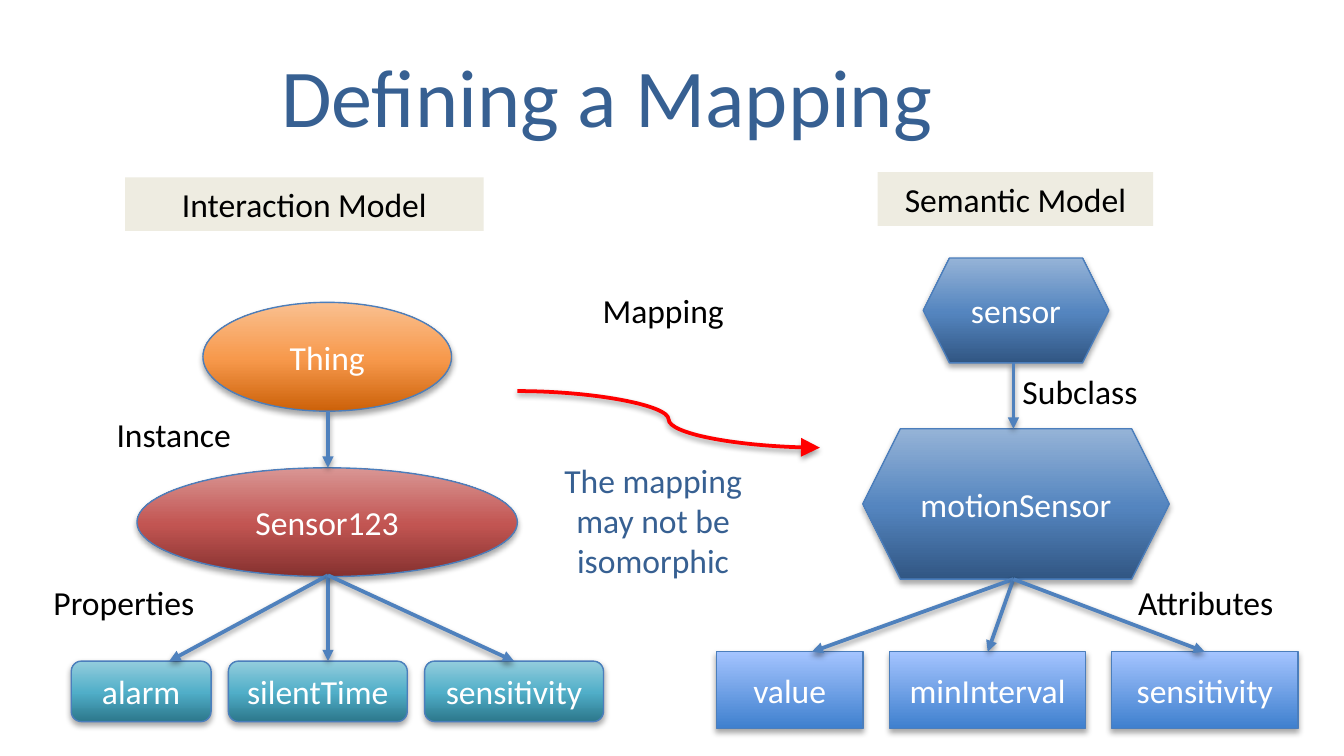
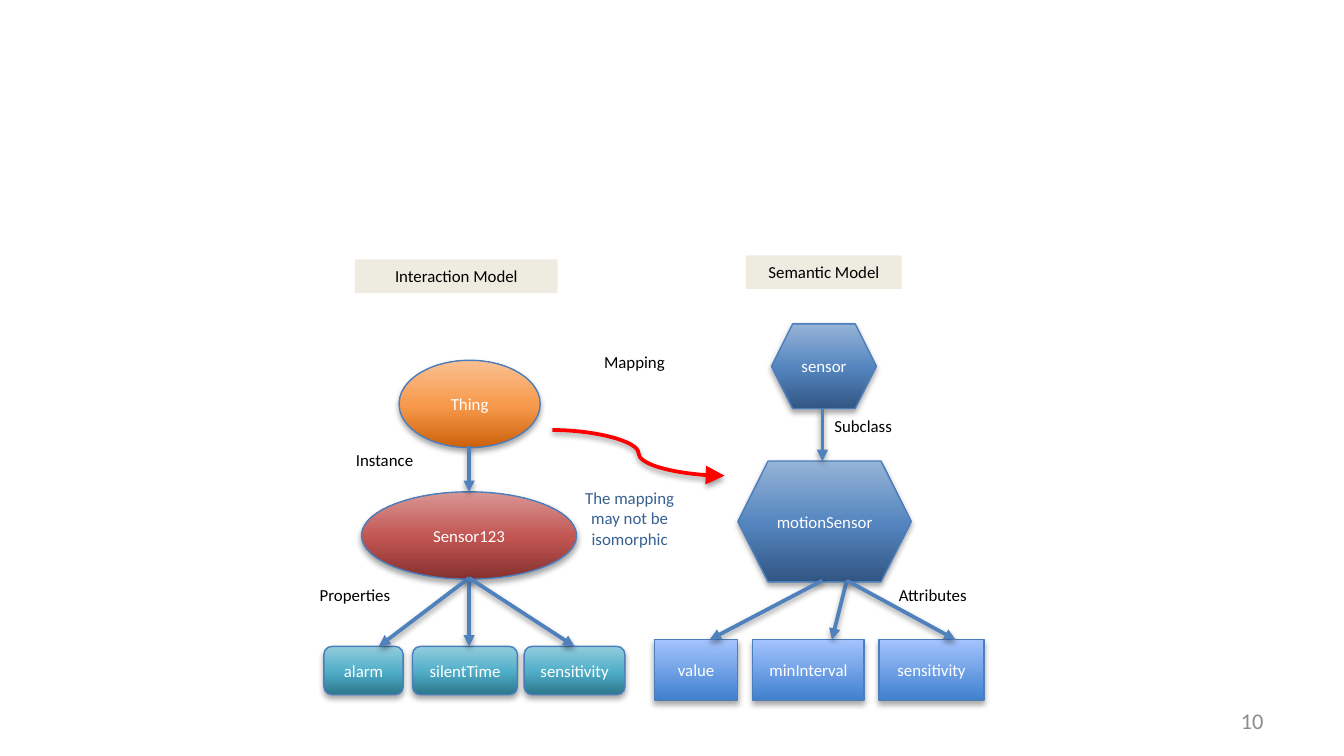
from dataclasses import dataclass
from typing import NamedTuple, Optional

import lxml.etree
import pptx
import pptx.dml.color
import pptx.enum.shapes
import pptx.enum.text
import pptx.oxml.ns
import pptx.util

Pt = pptx.util.Pt
qn = pptx.oxml.ns.qn
PRESET = pptx.enum.shapes.MSO_SHAPE
CONNECTOR = pptx.enum.shapes.MSO_CONNECTOR
ALIGN = pptx.enum.text.PP_ALIGN
ANCHOR = pptx.enum.text.MSO_ANCHOR


@dataclass(frozen=True)
class Theme:
    font: str = "Calibri"
    title_size: float = 44
    number_size: float = 12
    diagram_sizes: tuple[float, float] = (18, 9)
    accent: str = "376092"
    ink: str = "000000"
    on_node: str = "FFFFFF"
    number: str = "8C8C8C"
    band: str = "EEECE1"
    outline: str = "4B7EBC"
    arrow: str = "4F81BD"
    mapping: str = "FF0000"
    outline_width: float = 0.75
    arrow_width: float = 2


THEME = Theme()


class Frame(NamedTuple):
    left: float
    top: float
    width: float
    height: float


class Look(NamedTuple):
    """Preset shape and its gradient, from bottom to top."""
    preset: PRESET
    stops: tuple[tuple[int, str], ...]


class Part(NamedTuple):
    """A text with its frame on the full and on the reduced diagram."""
    text: str
    frames: tuple[Frame, Frame]
    look: Optional[Look] = None
    wrapped: bool = False
    color: str = THEME.ink


class Row(NamedTuple):
    top: float
    height: float
    spans: tuple[tuple[float, float], ...]


class Arrow(NamedTuple):
    """Start x, start y, end x, end y on the full and on the reduced diagram."""
    full: tuple[float, float, float, float]
    reduced: tuple[float, float, float, float]


THING = Look(PRESET.OVAL, ((0, "CC6109"), (48, "F7994C"), (100, "FAC090")))
INSTANCE = Look(PRESET.OVAL, ((0, "85312F"), (48, "C25552"), (100, "D99694")))
PROPERTY = Look(PRESET.ROUNDED_RECTANGLE,
                ((0, "2C778B"), (48, "50AEC8"), (100, "93CDDD")))
CONCEPT = Look(PRESET.HEXAGON, ((0, "315683"), (48, "5485BF"), (100, "95B3D7")))
ATTRIBUTE = Look(PRESET.RECTANGLE, ((0, "3F80CE"), (100, "A4C4FF")))


def row_parts(look: Look, texts: tuple[str, ...], full: Row, reduced: Row) -> list[Part]:
    def frames(row: Row) -> list[Frame]:
        return [Frame(left, row.top, width, row.height) for left, width in row.spans]

    return [Part(text, pair, look)
            for text, pair in zip(texts, zip(frames(full), frames(reduced)))]


NODES = [
    Part("motionSensor", (Frame(462.2, 229.7, 164.2, 80.6),
                          Frame(395.3, 247, 92.9, 64.8)), CONCEPT),
    Part("sensor", (Frame(494.6, 138.2, 99.4, 56.2),
                    Frame(413.3, 173.5, 56.2, 45.4)), CONCEPT),
    Part("Sensor123", (Frame(73.4, 250.6, 203.8, 58.3),
                       Frame(193.7, 263.5, 115.2, 46.8)), INSTANCE),
    Part("Thing", (Frame(108.7, 162, 133.2, 58.3),
                   Frame(213.8, 193, 75.6, 46.8)), THING),
    *row_parts(ATTRIBUTE, ("value", "minInterval", "sensitivity"),
               Row(349.2, 41, ((383.8, 78.5), (476.6, 105.1), (595.4, 100.1))),
               Row(342.7, 32.4, ((350.6, 44.6), (403.2, 59.8), (470.9, 56.2)))),
    *row_parts(PROPERTY, ("alarm", "silentTime", "sensitivity"),
               Row(354.2, 32.4, ((38.2, 74.9), (122.4, 95.8), (227.5, 95.8))),
               Row(346.3, 25.9, ((173.5, 42.5), (221, 56.2), (280.8, 54)))),
]

BANDS = [
    Part("Interaction Model", (Frame(67, 95, 192.2, 28.8),
                               Frame(190.1, 139, 108.7, 18))),
    Part("Semantic Model", (Frame(470.2, 92.2, 147.6, 28.8),
                            Frame(399.6, 136.8, 83.5, 18))),
]

LABELS = [
    Part("Subclass", (Frame(540.7, 195.1, 77, 28.8), Frame(439.9, 218.9, 45.4, 18))),
    Part("Attributes", (Frame(602.6, 308.2, 87.8, 28.8), Frame(474.5, 309.6, 51.8, 18))),
    Part("Properties", (Frame(21.6, 308.2, 90.7, 28.8), Frame(164.2, 309.6, 52.6, 18))),
    Part("Instance", (Frame(55.4, 218.2, 76.3, 28.8), Frame(183.6, 237.6, 45.4, 18))),
    Part("Mapping", (Frame(306.7, 151.9, 97.2, 28.8), Frame(312.5, 185, 54.7, 18)),
         wrapped=True),
    Part("The mapping may not be isomorphic",
         (Frame(281.5, 242.6, 136.8, 72.7), Frame(298.8, 257.8, 77, 40.3)),
         wrapped=True, color=THEME.accent),
]

ARROWS = [
    Arrow((542.9, 194.4, 542.9, 229.7), (440.6, 218.9, 440.6, 247)),
    Arrow((542.9, 310.3, 434.9, 349.2), (440.6, 311, 380.2, 342.7)),
    Arrow((542.9, 310.3, 529.2, 349.2), (453.6, 311, 445.7, 342.7)),
    Arrow((542.9, 310.3, 645.1, 349.2), (453.6, 311, 511.9, 342.7)),
    Arrow((175.7, 308.2, 90.7, 354.2), (251.3, 309.6, 203, 346.3)),
    Arrow((175.7, 308.2, 175.7, 354.2), (251.3, 309.6, 251.3, 346.3)),
    Arrow((175.7, 308.2, 275.8, 354.2), (251.3, 309.6, 308.2, 346.3)),
    Arrow((175.7, 220.3, 175.7, 250.6), (251.3, 239, 251.3, 263.5)),
]
MAPPING_ARROW = Arrow((277.2, 209.5, 439.2, 239.8), (295.9, 230.4, 388.1, 254.9))

TITLE_FRAME = Frame(36, 16.6, 578.2, 67.7)
NUMBER_FRAME = Frame(516.2, 375.1, 167.8, 21.6)


def rgb(value: str) -> pptx.dml.color.RGBColor:
    return pptx.dml.color.RGBColor.from_string(value)


def points(values: tuple[float, ...]) -> list[pptx.util.Length]:
    return [Pt(value) for value in values]


def write(shape, text: str, size: float, color: str, align=ALIGN.CENTER,
          anchor=ANCHOR.TOP, wrap: bool = True) -> None:
    frame = shape.text_frame
    frame.text = text
    frame.word_wrap = wrap
    frame.vertical_anchor = anchor
    paragraph = frame.paragraphs[0]
    paragraph.alignment = align
    paragraph.font.name = THEME.font
    paragraph.font.size = Pt(size)
    paragraph.font.color.rgb = rgb(color)


def add_color(parent, value: str):
    return lxml.etree.SubElement(parent, qn("a:srgbClr"), val=value)


def add_shadow(effects, distance: float, opacity: int) -> None:
    shadow = lxml.etree.SubElement(
        effects, qn("a:outerShdw"), blurRad=str(Pt(3.15)), dist=str(Pt(distance)),
        dir="5400000", rotWithShape="0")
    lxml.etree.SubElement(add_color(shadow, THEME.ink), qn("a:alpha"),
                          val=str(opacity * 1000))


def fill_gradient(shape, stops: tuple[tuple[int, str], ...]) -> None:
    shape.fill.gradient()
    shape.fill.gradient_angle = 90
    stop_list = shape._element.spPr.find(".//" + qn("a:gsLst"))
    for default_stop in list(stop_list):
        stop_list.remove(default_stop)
    for position, color in stops:
        add_color(lxml.etree.SubElement(stop_list, qn("a:gs"), pos=str(position * 1000)),
                  color)


def add_node(slide, node: Part, view: int):
    shape = slide.shapes.add_shape(node.look.preset, *points(node.frames[view]))
    shape.shadow.inherit = False
    fill_gradient(shape, node.look.stops)
    shape.line.color.rgb = rgb(THEME.outline)
    shape.line.width = Pt(THEME.outline_width)
    add_shadow(shape._element.spPr.find(qn("a:effectLst")), 1.8, 35)
    write(shape, node.text, THEME.diagram_sizes[view], THEME.on_node,
          anchor=ANCHOR.MIDDLE, wrap=False)
    return shape


def add_band(slide, band: Part, view: int) -> None:
    shape = slide.shapes.add_shape(PRESET.RECTANGLE, *points(band.frames[view]))
    shape.shadow.inherit = False
    shape.fill.solid()
    shape.fill.fore_color.rgb = rgb(THEME.band)
    shape.line.fill.background()
    write(shape, band.text, THEME.diagram_sizes[view], band.color)


def add_label(slide, label: Part, view: int) -> None:
    box = slide.shapes.add_textbox(*points(label.frames[view]))
    write(box, label.text, THEME.diagram_sizes[view], label.color,
          align=ALIGN.CENTER if label.wrapped else ALIGN.LEFT, wrap=label.wrapped)


def add_arrow(slide, ends: tuple[float, float, float, float], color: str,
              kind=CONNECTOR.STRAIGHT, head: str = "med"):
    arrow = slide.shapes.add_connector(kind, *points(ends))
    arrow.line.color.rgb = rgb(color)
    arrow.line.width = Pt(THEME.arrow_width)
    lxml.etree.SubElement(arrow.line._get_or_add_ln(), qn("a:tailEnd"),
                          type="triangle", w=head, len=head)
    add_shadow(lxml.etree.SubElement(arrow._element.spPr, qn("a:effectLst")), 1.6, 38)
    return arrow


def join_to_top(arrow, boxes: list) -> None:
    """Join the arrow to the box whose top middle it reaches, if there is one."""
    for box in boxes:
        if (abs(box.left + box.width / 2 - arrow.end_x) < Pt(1)
                and abs(box.top - arrow.end_y) < Pt(1)):
            arrow.end_connect(box, 0)


def add_diagram(slide, view: int) -> None:
    shapes = [add_node(slide, node, view) for node in NODES]
    boxes = [shape for shape, node in zip(shapes, NODES)
             if node.look in (ATTRIBUTE, PROPERTY)]
    for arrow in ARROWS:
        join_to_top(add_arrow(slide, arrow[view], THEME.arrow), boxes)
    add_arrow(slide, MAPPING_ARROW[view], THEME.mapping, CONNECTOR.CURVE, "lg")
    for band in BANDS:
        add_band(slide, band, view)
    for label in LABELS:
        add_label(slide, label, view)


def set_title(slide, text: str) -> None:
    title = slide.shapes.title
    title.left, title.top, title.width, title.height = points(TITLE_FRAME)
    write(title, text, THEME.title_size, THEME.accent, anchor=ANCHOR.MIDDLE)


def add_number(slide, number: str) -> None:
    box = slide.shapes.add_textbox(*points(NUMBER_FRAME))
    write(box, number, THEME.number_size, THEME.number, ALIGN.RIGHT, ANCHOR.MIDDLE)


def main() -> None:
    deck = pptx.Presentation()
    deck.slide_width, deck.slide_height = Pt(720), Pt(405)
    title_only, blank = deck.slide_layouts[5], deck.slide_layouts[6]

    full = deck.slides.add_slide(title_only)
    set_title(full, "Defining a Mapping")
    add_diagram(full, 0)

    reduced = deck.slides.add_slide(blank)
    add_number(reduced, "10")
    add_diagram(reduced, 1)

    deck.save("out.pptx")


if __name__ == "__main__":
    main()
